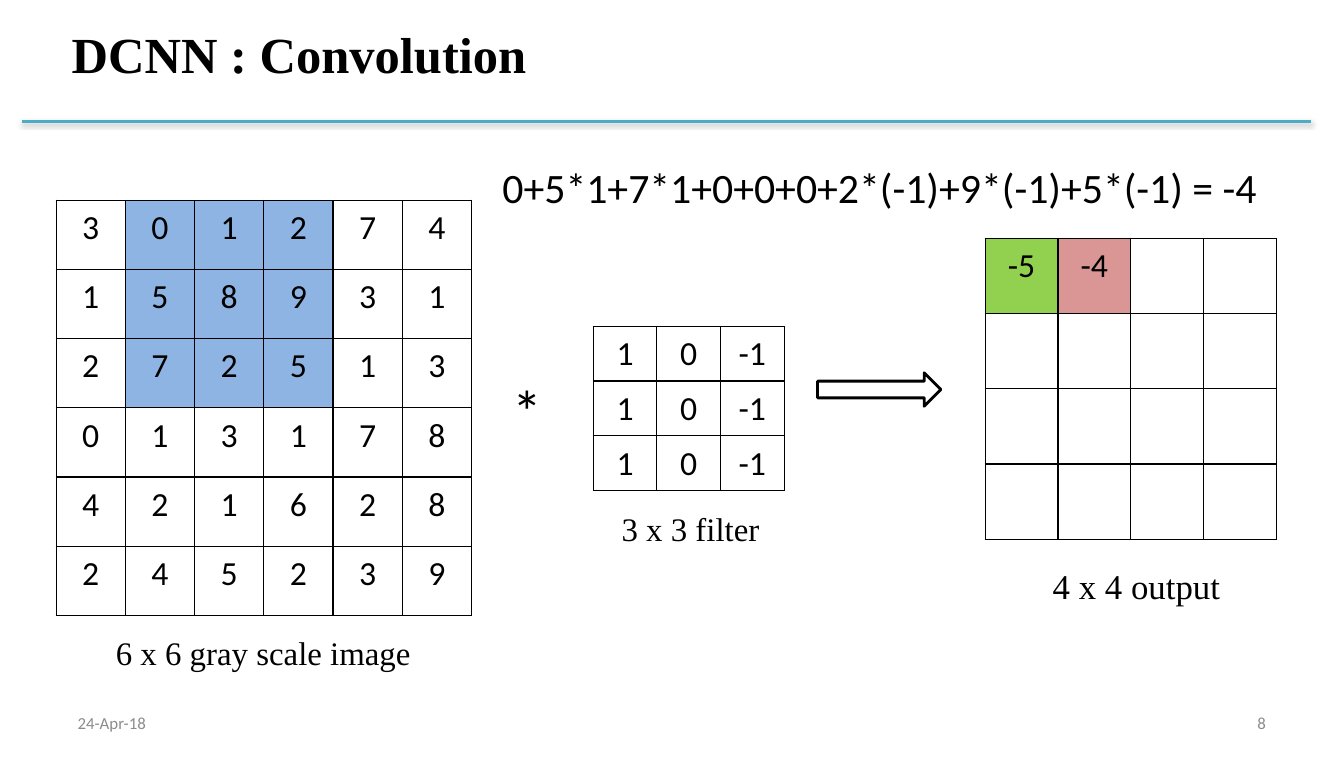
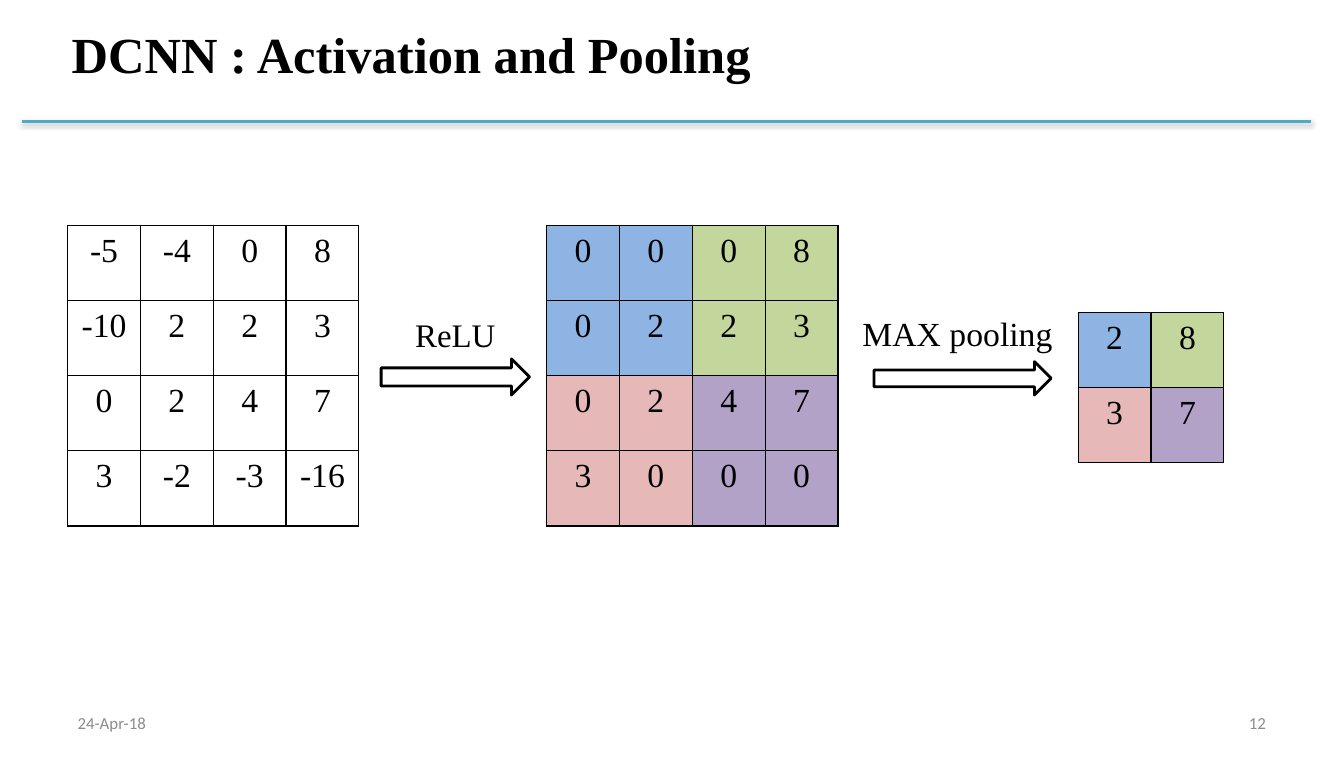
from dataclasses import dataclass
from itertools import zip_longest

from lxml.etree import SubElement
from pptx import Presentation
from pptx.dml.color import RGBColor
from pptx.enum.shapes import MSO_CONNECTOR, MSO_SHAPE
from pptx.enum.text import MSO_ANCHOR, PP_ALIGN
from pptx.oxml.ns import qn
from pptx.slide import Slide
from pptx.util import Cm, Pt


@dataclass(frozen=True)
class Theme:
    serif: str = "Times New Roman"
    sans: str = "Calibri"
    black: str = "000000"
    white: str = "FFFFFF"
    gray: str = "8C8C8C"
    rule: str = "4BACC6"
    blue: str = "8EB4E3"
    green: str = "92D050"
    red: str = "D99694"
    olive: str = "C3D69B"
    rose: str = "E6B9B8"
    purple: str = "B3A2C7"
    title_size: float = 36
    equation_size: float = 29.8
    operator_size: float = 42.6
    output_size: float = 24.8
    caption_size: float = 23.4
    body_size: float = 24
    footer_size: float = 12


THEME = Theme()
TINTS = {
    "B": THEME.blue,
    "G": THEME.green,
    "R": THEME.red,
    "O": THEME.olive,
    "S": THEME.rose,
    "P": THEME.purple,
}
POOLING_TINTS = ("BBOO", "BBOO", "SSPP", "SSPP")
WIDE_MARGINS = (0.33, 0.18)
NARROW_MARGINS = (0.25, 0.13)


@dataclass(frozen=True)
class Label:
    text: str
    left: float
    top: float
    width: float
    height: float
    size: float
    font: str = THEME.serif
    color: str = THEME.black
    bold: bool = False
    alignment: PP_ALIGN = PP_ALIGN.CENTER
    anchor: MSO_ANCHOR = MSO_ANCHOR.TOP
    margins: tuple[float, float] = WIDE_MARGINS


@dataclass(frozen=True)
class Grid:
    left: float
    top: float
    column_width: float
    row_height: float
    values: tuple[str, ...]
    tints: tuple[str, ...]
    font: str = THEME.serif


@dataclass(frozen=True)
class Arrow:
    left: float
    top: float
    width: float
    height: float


@dataclass(frozen=True)
class Page:
    title: str
    number: int
    grids: tuple[Grid, ...]
    arrows: tuple[Arrow, ...]
    labels: tuple[Label, ...]


PAGES = (
    Page(
        "DCNN : Convolution",
        8,
        grids=(
            Grid(1.41, 5.03, 1.74, 1.74,
                 ("3 0 1 2 7 4", "1 5 8 9 3 1", "2 7 2 5 1 3",
                  "0 1 3 1 7 8", "4 2 1 6 2 8", "2 4 5 2 3 9"),
                 (".BBB..",) * 3 + ("......",) * 3, THEME.sans),
            Grid(14.91, 8.2, 1.6, 1.36, ("1 0 -1",) * 3, ("...",) * 3, THEME.sans),
            Grid(24.76, 5.99, 1.83, 1.89, ("-5 -4",),
                 ("GR..",) + ("....",) * 3, THEME.sans),
        ),
        arrows=(Arrow(20.55, 9.37, 3.1, 0.84),),
        labels=(
            Label("4 x 4 output", 24.49, 14.07, 8.15, 1.12, THEME.output_size,
                  margins=NARROW_MARGINS),
            Label("*", 12.12, 9.22, 2.26, 2.54, THEME.operator_size, THEME.sans),
            Label("6 x 6 gray scale image", 2.54, 15.72, 8.15, 1.12, THEME.caption_size),
            Label("3 x 3 filter", 13.28, 12.6, 8.15, 1.12, THEME.caption_size),
            Label("0+5*1+7*1+0+0+0+2*(-1)+9*(-1)+5*(-1) = -4",
                  11.84, 3.89, 20.55, 1.98, THEME.equation_size, THEME.sans),
        ),
    ),
    Page(
        "DCNN : Activation and Pooling",
        12,
        grids=(
            Grid(1.7, 5.66, 1.83, 1.89,
                 ("-5 -4 0 8", "-10 2 2 3", "0 2 4 7", "3 -2 -3 -16"), ("....",) * 4),
            Grid(13.74, 5.66, 1.83, 1.89,
                 ("0 0 0 8", "0 2 2 3", "0 2 4 7", "3 0 0 0"), POOLING_TINTS),
            Grid(27.1, 7.85, 1.83, 1.89, ("2 8", "3 7"), ("BO", "SP")),
        ),
        arrows=(Arrow(9.58, 9.02, 3.73, 0.91), Arrow(21.97, 9.09, 4.45, 0.84)),
        labels=(
            Label("ReLU", 7.37, 7.72, 8.15, 1.12, THEME.caption_size),
            Label("MAX pooling", 20.47, 7.67, 7.19, 1.4, THEME.body_size),
        ),
    ),
)


def rgb(color: str) -> RGBColor:
    return RGBColor.from_string(color)


def draw_label(slide: Slide, label: Label) -> None:
    shape = slide.shapes.add_textbox(
        Cm(label.left), Cm(label.top), Cm(label.width), Cm(label.height)
    )
    frame = shape.text_frame
    frame.word_wrap = True
    frame.vertical_anchor = label.anchor
    horizontal, vertical = map(Cm, label.margins)
    frame.margin_left = frame.margin_right = horizontal
    frame.margin_top = frame.margin_bottom = vertical
    paragraph = frame.paragraphs[0]
    paragraph.text = label.text
    paragraph.alignment = label.alignment
    paragraph.font.name = label.font
    paragraph.font.size = Pt(label.size)
    paragraph.font.bold = label.bold
    paragraph.font.color.rgb = rgb(label.color)


def draw_grid(slide: Slide, grid: Grid) -> None:
    rows, columns = len(grid.tints), len(grid.tints[0])
    table = slide.shapes.add_table(
        rows, columns, Cm(grid.left), Cm(grid.top),
        Cm(grid.column_width * columns), Cm(grid.row_height * rows),
    ).table
    table.first_row = table.horz_banding = False
    for column in table.columns:
        column.width = Cm(grid.column_width)
    for row in table.rows:
        row.height = Cm(grid.row_height)
    lines = zip_longest(grid.values, grid.tints, fillvalue="")
    for row_index, (values, tints) in enumerate(lines):
        entries = zip_longest(values.split(), tints, fillvalue="")
        for column_index, (value, tint) in enumerate(entries):
            draw_cell(table.cell(row_index, column_index), value, tint, grid.font)


def draw_cell(cell, value: str, tint: str, font: str) -> None:
    horizontal, vertical = map(Cm, WIDE_MARGINS)
    cell.margin_left = cell.margin_right = horizontal
    cell.margin_top = cell.margin_bottom = vertical
    properties = cell._tc.get_or_add_tcPr()
    for side in ("a:lnL", "a:lnR", "a:lnT", "a:lnB"):
        border = SubElement(properties, qn(side), w=str(Pt(1)))
        fill = SubElement(border, qn("a:solidFill"))
        SubElement(fill, qn("a:srgbClr"), val=THEME.black)
    if tint in TINTS:
        cell.fill.solid()
        cell.fill.fore_color.rgb = rgb(TINTS[tint])
    else:
        cell.fill.background()
    paragraph = cell.text_frame.paragraphs[0]
    paragraph.alignment = PP_ALIGN.CENTER
    paragraph.font.name = font
    paragraph.font.size = Pt(THEME.body_size)
    paragraph.font.color.rgb = rgb(THEME.black)
    if value:
        paragraph.text = value


def draw_arrow(slide: Slide, arrow: Arrow) -> None:
    shape = slide.shapes.add_shape(
        MSO_SHAPE.RIGHT_ARROW,
        Cm(arrow.left), Cm(arrow.top), Cm(arrow.width), Cm(arrow.height),
    )
    shape.shadow.inherit = False
    shape.fill.solid()
    shape.fill.fore_color.rgb = rgb(THEME.white)
    shape.line.color.rgb = rgb(THEME.black)
    shape.line.width = Pt(2)


def draw_rule(slide: Slide) -> None:
    rule = slide.shapes.add_connector(
        MSO_CONNECTOR.STRAIGHT, Cm(0.56), Cm(3.05), Cm(32.94), Cm(3.05)
    )
    rule.line.color.rgb = rgb(THEME.rule)
    rule.line.width = Pt(2)
    effects = SubElement(rule._element.spPr, qn("a:effectLst"))
    shadow = SubElement(
        effects, qn("a:outerShdw"), blurRad=str(Pt(3.1)), dist=str(Pt(1.6)),
        dir="5400000", rotWithShape="0",
    )
    color = SubElement(shadow, qn("a:srgbClr"), val=THEME.black)
    SubElement(color, qn("a:alpha"), val="38000")


def draw_footer(slide: Slide, text: str, left: float, alignment: PP_ALIGN) -> None:
    draw_label(slide, Label(
        text, left, 17.65, 7.87, 1.02, THEME.footer_size, THEME.sans, THEME.gray,
        alignment=alignment, anchor=MSO_ANCHOR.MIDDLE, margins=NARROW_MARGINS,
    ))


def draw_page(slide: Slide, page: Page) -> None:
    draw_label(slide, Label(
        page.title, 1.55, -0.2, 30.4, 3.1, THEME.title_size, bold=True,
        alignment=PP_ALIGN.LEFT, anchor=MSO_ANCHOR.MIDDLE, margins=NARROW_MARGINS,
    ))
    draw_footer(slide, "24-Apr-18", 1.7, PP_ALIGN.LEFT)
    draw_footer(slide, str(page.number), 24.2, PP_ALIGN.RIGHT)
    draw_rule(slide)
    for grid in page.grids:
        draw_grid(slide, grid)
    for arrow in page.arrows:
        draw_arrow(slide, arrow)
    for label in page.labels:
        draw_label(slide, label)


def main() -> None:
    presentation = Presentation()
    presentation.slide_width = Cm(33.78)
    presentation.slide_height = Cm(19.05)
    blank_layout = presentation.slide_layouts[6]
    for page in PAGES:
        draw_page(presentation.slides.add_slide(blank_layout), page)
    presentation.save("out.pptx")


if __name__ == "__main__":
    main()
